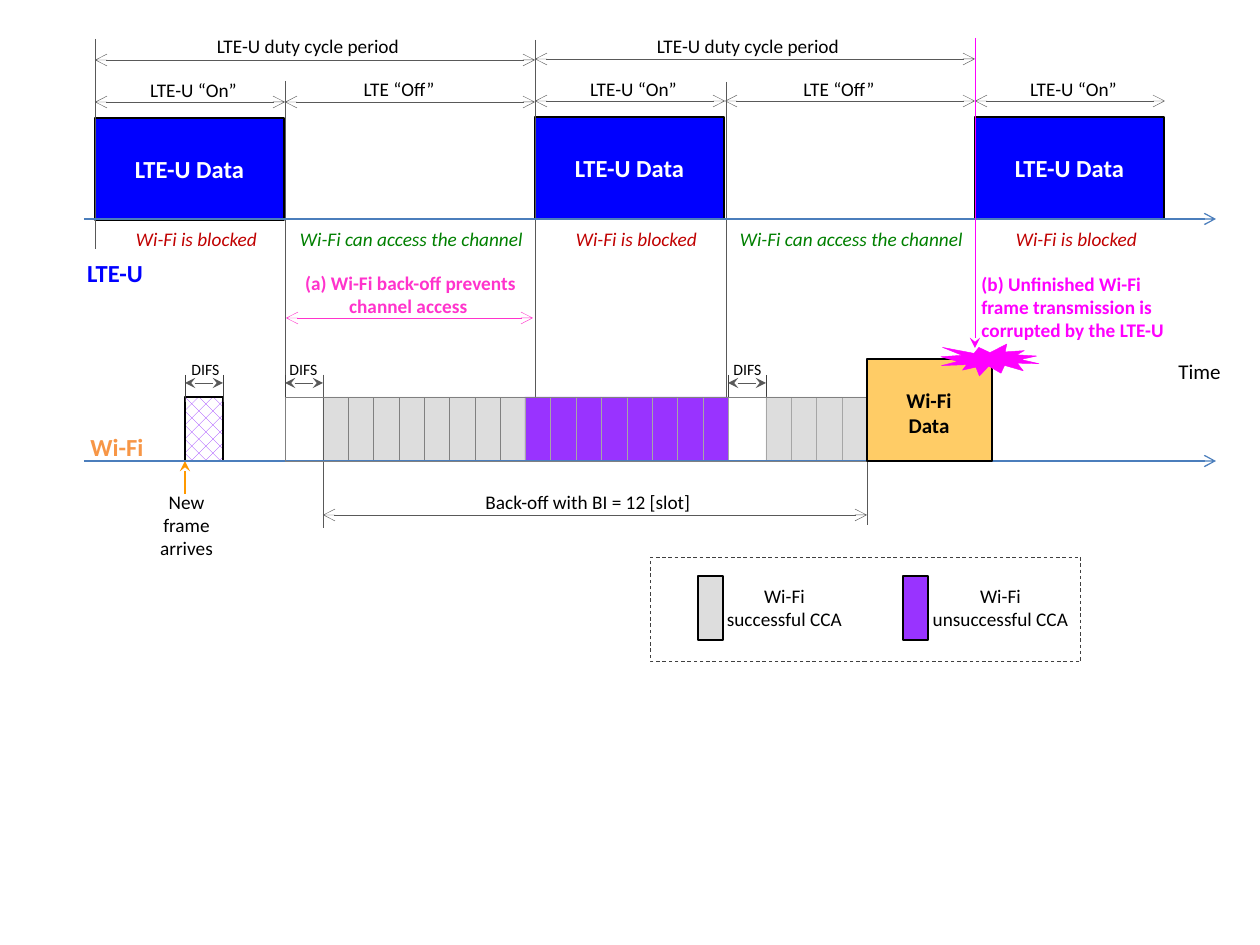
from dataclasses import dataclass
from typing import NamedTuple

from lxml.etree import SubElement
from pptx import Presentation
from pptx.dml.color import RGBColor
from pptx.enum.dml import MSO_LINE_DASH_STYLE as Dash, MSO_PATTERN_TYPE as Pattern
from pptx.enum.shapes import MSO_CONNECTOR as Connector, MSO_SHAPE as Preset
from pptx.enum.text import MSO_ANCHOR as Anchor, PP_ALIGN as Align
from pptx.oxml.ns import qn
from pptx.util import Emu, Pt

EMU_PER_PX = 914400 / 126


@dataclass(frozen=True)
class Theme:
    font: str = "Calibri"
    black: str = "000000"
    white: str = "FFFFFF"
    guide: str = "595959"
    tick: str = "404040"
    axis: str = "4B7EBC"
    lte: str = "0000FF"
    wifi: str = "F79646"
    frame: str = "FFCC66"
    arrival: str = "FF9900"
    blocked: str = "C00000"
    access: str = "008000"
    idle: str = "DDDDDD"
    busy: str = "9933FF"
    idle_edge: str = "808080"
    busy_edge: str = "A6A6A6"
    backoff: str = "FF33CC"
    collision: str = "FF00FF"
    tiny: int = 9
    small: int = 11
    medium: int = 12
    large: int = 14
    hairline: float = 0.25
    thin: float = 0.75
    bold_line: float = 1


class Box(NamedTuple):
    left: int
    top: int
    width: int
    height: int


class Style(NamedTuple):
    size: int
    color: str
    bold: bool = False
    italic: bool = False


class Cycle(NamedTuple):
    start: int
    drop: int
    has_off: bool


THEME = Theme()
PLAIN = Style(THEME.small, THEME.black)
CYCLES = [Cycle(95, 1, True), Cycle(535, 0, True), Cycle(975, 0, False)]
ON_WIDTH, CYCLE_WIDTH = 190, 440
SLOT_TOP, SLOT_HEIGHT, DIFS_WIDTH = 397, 64, 38
LTE_AXIS, WIFI_AXIS = 219, 461

deck = Presentation()
deck.slide_width, deck.slide_height = Emu(9144000), Emu(6858000)
page = deck.slides.add_slide(deck.slide_layouts[6])


def px(length: int) -> Emu:
    return Emu(round(length * EMU_PER_PX))


def rgb(color: str) -> RGBColor:
    return RGBColor.from_string(color)


def write(shape, text: str, style: Style, align=Align.CENTER) -> None:
    para = shape.text_frame.paragraphs[0]
    para.text = text.replace("\n", "\v")
    para.alignment = align
    values = {"name": THEME.font, "size": Pt(style.size),
              "bold": style.bold, "italic": style.italic}
    for span in para.runs:
        for name, value in values.items():
            setattr(span.font, name, value)
        span.font.color.rgb = rgb(style.color)


def label(box: Box, text: str, style: Style = PLAIN, align=Align.CENTER,
          wrap: bool = False) -> None:
    text_box = page.shapes.add_textbox(*map(px, box))
    text_box.text_frame.word_wrap = wrap
    write(text_box, text, style, align)


def block(box: Box, fill: str | None, edge: str, width: float = THEME.hairline,
          preset=Preset.RECTANGLE):
    shape = page.shapes.add_shape(preset, *map(px, box))
    shape.shadow.inherit = False
    if fill:
        shape.fill.solid()
        shape.fill.fore_color.rgb = rgb(fill)
    else:
        shape.fill.background()
    shape.line.color.rgb = rgb(edge)
    shape.line.width = Pt(width)
    return shape


def line(x1: int, y1: int, x2: int, y2: int, color: str = THEME.guide,
         width: float = THEME.hairline, head: str = "", tail: str = "") -> None:
    connector = page.shapes.add_connector(Connector.STRAIGHT, *map(px, (x1, y1, x2, y2)))
    connector.line.color.rgb = rgb(color)
    connector.line.width = Pt(width)
    outline = connector.line._get_or_add_ln()
    for tag, kind in (("a:headEnd", head), ("a:tailEnd", tail)):
        if kind:
            SubElement(outline, qn(tag), type=kind)
    SubElement(connector._element.spPr, qn("a:effectLst"))


def span_arrow(x1: int, x2: int, y: int, color: str = THEME.guide, kind: str = "arrow") -> None:
    line(x1, y, x2, y, color, head=kind, tail=kind)


def draw_cycle(cycle: Cycle) -> None:
    start, drop, has_off = cycle
    on_end, end = start + ON_WIDTH, start + CYCLE_WIDTH
    data = block(Box(start, 117 + drop, ON_WIDTH - 1, 102), THEME.lte, THEME.black,
                 THEME.bold_line)
    data.text_frame.vertical_anchor = Anchor.MIDDLE
    write(data, "LTE-U Data", Style(THEME.large, THEME.white, bold=True))
    span_arrow(start, on_end, 101 + drop)
    label(Box(start + 41, 71 + drop, 115, 37), "LTE-U “On”")
    label(Box(start + 28, 221, 147, 37), "Wi-Fi is blocked",
          Style(THEME.small, THEME.blocked, italic=True))
    if has_off:
        span_arrow(on_end, end, 101 + drop)
        span_arrow(start, end, 59 + drop)
        label(Box(start + 255, 71, 98, 37), "LTE “Off”")
        label(Box(start + 108, 28, 210, 37), "LTE-U duty cycle period")
        label(Box(start + 192, 221, 249, 37), "Wi-Fi can access the channel",
              Style(THEME.small, THEME.access, italic=True))


def draw_slots(start: int, end: int, count: int, fill: str, edge: str) -> None:
    edges = [start + round((end - start) * i / count) for i in range(count + 1)]
    for left, right in zip(edges, edges[1:]):
        block(Box(left, SLOT_TOP, right - left, SLOT_HEIGHT), fill, edge)


def draw_difs(left: int, label_left: int, edge: str, width: float = THEME.hairline):
    wait = block(Box(left, SLOT_TOP, DIFS_WIDTH, SLOT_HEIGHT), THEME.white, edge, width)
    for x in (left, left + DIFS_WIDTH):
        line(x, 375, x, 402, THEME.tick)
    span_arrow(left, left + DIFS_WIDTH, 383, kind="stealth")
    label(Box(label_left, 354, 54, 32), "DIFS", Style(THEME.tiny, THEME.black), Align.LEFT)
    return wait


def draw_legend() -> None:
    block(Box(651, 557, 430, 105), None, THEME.tick, 0.5).line.dash_style = Dash.DASH
    for left, fill, text_box, text in (
        (698, THEME.idle, Box(714, 578, 141, 59), "Wi-Fi\nsuccessful CCA"),
        (903, THEME.busy, Box(920, 578, 161, 59), "Wi-Fi\nunsuccessful CCA"),
    ):
        block(Box(left, 576, 25, SLOT_HEIGHT), fill, THEME.black, 0)
        label(text_box, text)


def draw_lte_row() -> None:
    for cycle in CYCLES:
        draw_cycle(cycle)
    for x, top, bottom in ((95, 39, 249), (285, 81, 399), (535, 40, 397), (726, 82, 397)):
        line(x, top, x, bottom)
    line(84, LTE_AXIS, 1216, LTE_AXIS, THEME.axis, THEME.thin, tail="arrow")
    label(Box(73, 252, 84, 43), "LTE-U", Style(THEME.large, THEME.lte, bold=True))
    label(Box(1166, 352, 68, 38), "Time", Style(THEME.medium, THEME.black), Align.LEFT)


def draw_wifi_row() -> None:
    first_wait = draw_difs(185, 179, THEME.black, 0)
    first_wait.fill.patterned()
    first_wait.fill.pattern = Pattern.PERCENT_25
    first_wait.fill.fore_color.rgb = rgb(THEME.busy)
    first_wait.fill.back_color.rgb = rgb(THEME.white)
    draw_difs(285, 277, THEME.idle_edge)
    draw_difs(728, 721, THEME.busy_edge)
    draw_slots(323, 525, 8, THEME.idle, THEME.idle_edge)
    draw_slots(525, 728, 8, THEME.busy, THEME.busy_edge)
    draw_slots(766, 867, 4, THEME.idle, THEME.busy_edge)
    for x, top, bottom in ((323, 375, 528), (867, 388, 525)):
        line(x, top, x, bottom)
    span_arrow(323, 867, 515)
    label(Box(473, 484, 233, 37), "Back-off with BI = 12 [slot]", align=Align.LEFT)
    label(Box(76, 426, 82, 43), "Wi-Fi", Style(THEME.large, THEME.wifi, bold=True))
    line(185, 494, 185, WIFI_AXIS, THEME.arrival, THEME.thin, tail="stealth")
    label(Box(147, 484, 79, 83), "New\nframe\narrives")
    line(84, WIFI_AXIS, 1216, WIFI_AXIS, THEME.axis, THEME.thin, tail="arrow")


def draw_problems() -> None:
    span_arrow(286, 533, 318, THEME.backoff)
    label(Box(291, 265, 239, 59), "(a) Wi-Fi back-off prevents\nchannel access ",
          Style(THEME.small, THEME.backoff, bold=True))
    line(975, 38, 975, 348, THEME.collision, tail="stealth")
    label(Box(969, 266, 218, 83),
          "(b) Unfinished Wi-Fi frame transmission is corrupted by the LTE-U",
          Style(THEME.small, THEME.collision, bold=True), Align.LEFT, wrap=True)
    block(Box(285, SLOT_TOP, 639, SLOT_HEIGHT), None, THEME.idle_edge)
    block(Box(867, 359, 125, 102), THEME.frame, THEME.black, THEME.bold_line)
    label(Box(893, 381, 72, 63), "Wi-Fi\nData", Style(THEME.medium, THEME.black, bold=True))
    block(Box(941, 344, 98, 32), THEME.collision, THEME.collision,
          preset=Preset.EXPLOSION1)


draw_lte_row()
draw_legend()
draw_wifi_row()
draw_problems()
deck.save("out.pptx")
